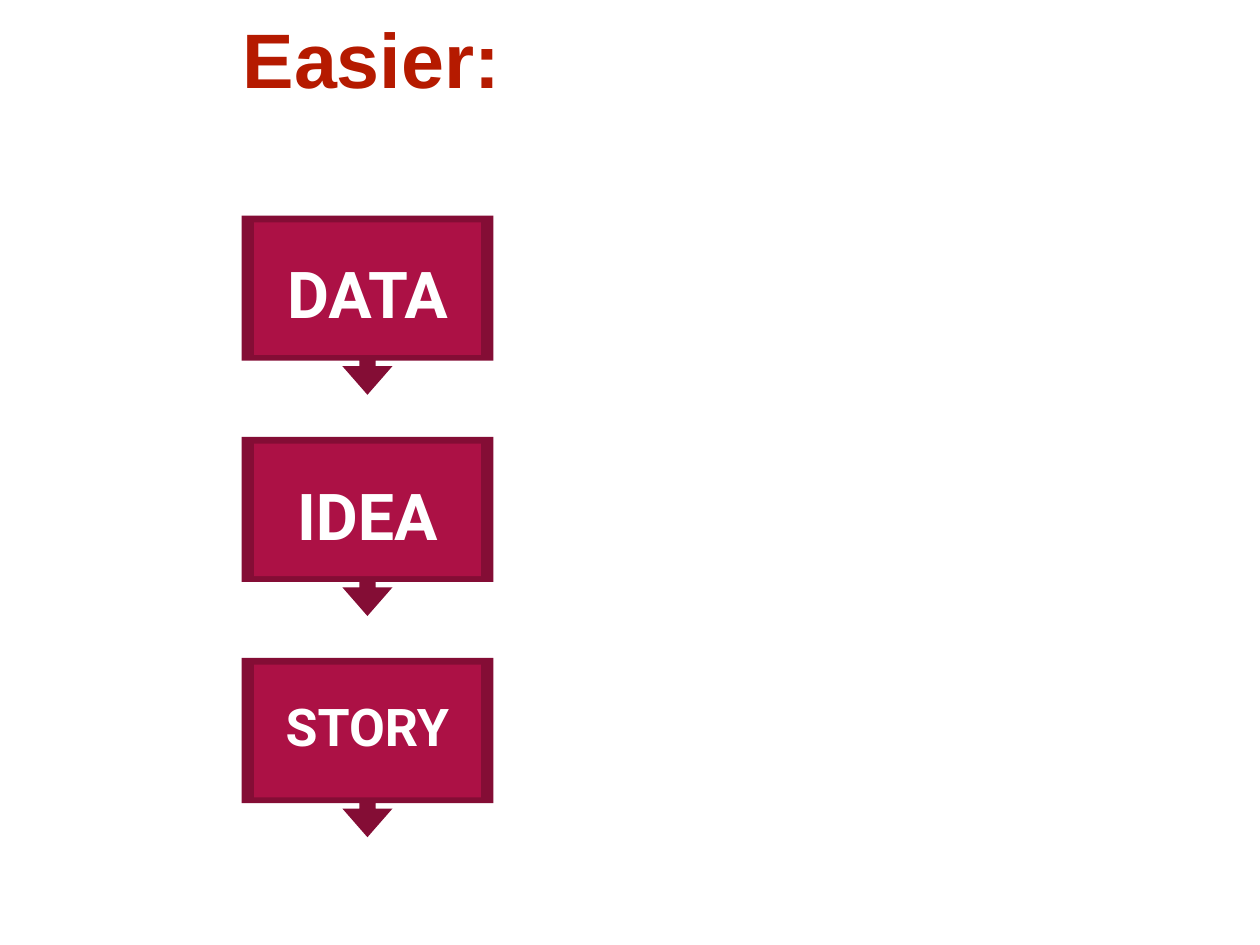
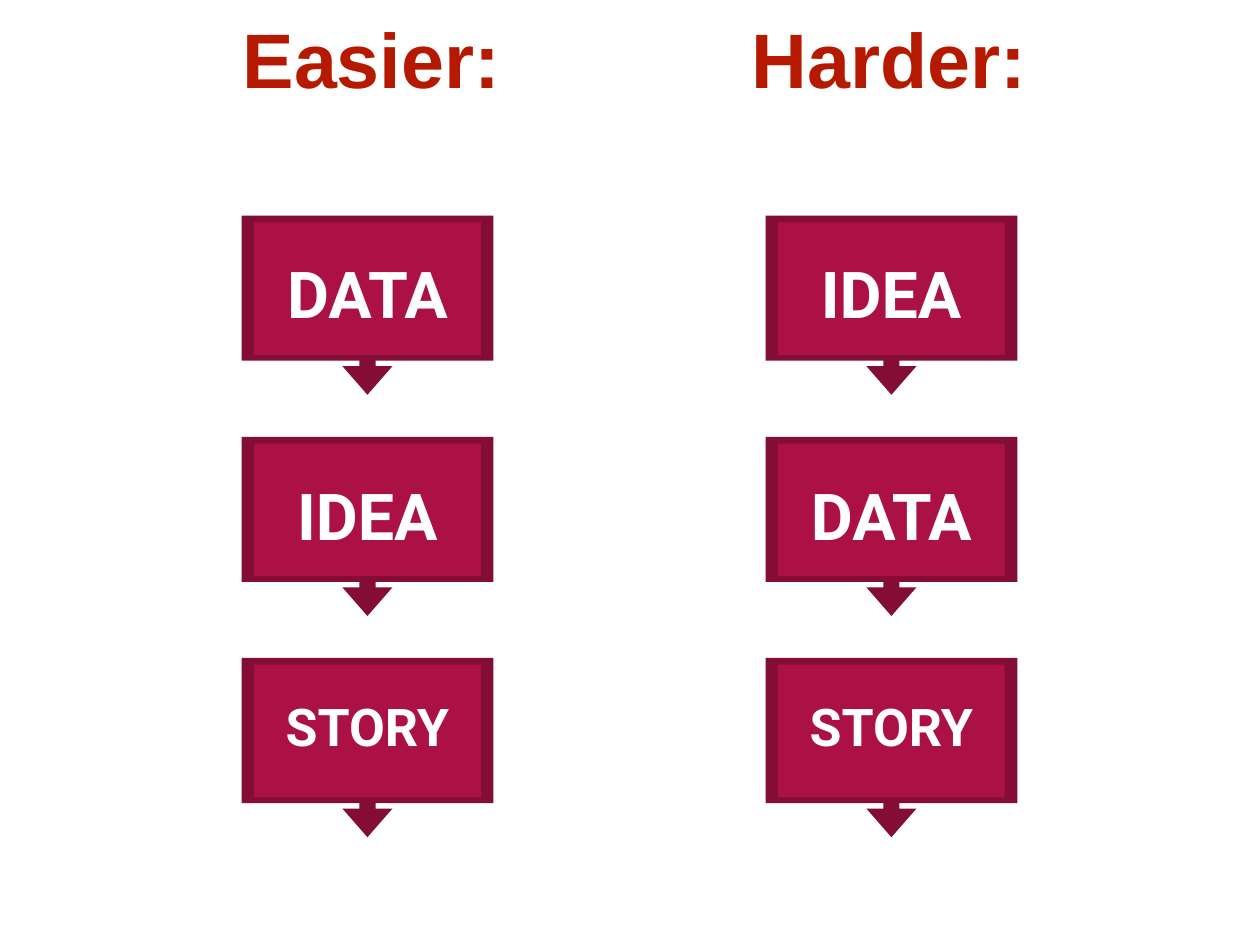
from dataclasses import dataclass

from pptx import Presentation
from pptx.dml.color import RGBColor
from pptx.enum.shapes import MSO_SHAPE
from pptx.enum.text import MSO_ANCHOR, PP_ALIGN
from pptx.util import Pt

PX = 9144  # EMU per px, 100 px to the inch

EASIER = {"title": "Easier:", "title_left": 214, "left": 213,
          "steps": ["DATA", "IDEA", "STORY"]}
HARDER = {"title": "Harder:", "title_left": 663, "left": 675,
          "steps": ["IDEA", "DATA", "STORY"]}
SLIDES = [[EASIER], [HARDER, EASIER]]

SLIDE_SIZE = (1111, 833)
TITLE_TOP, TITLE_WIDTH, TITLE_HEIGHT = 18, 247, 76
FIRST_STEP_TOP, STEP_PITCH = 190, 195
FRAME_WIDTH, FRAME_HEIGHT = 222, 158
FRAME_ADJUSTMENTS = (0.09, 0.14, 0.16, 0.81)
PANEL_WIDTH, PANEL_HEIGHT, PANEL_DROP = 200, 117, 6
PANEL_MARGINS = (25, 18, 25, 0)


@dataclass(frozen=True)
class Theme:
    title_color: RGBColor = RGBColor(0xB5, 0x1A, 0x00)
    frame_color: RGBColor = RGBColor(0x84, 0x0D, 0x35)
    panel_color: RGBColor = RGBColor(0xAC, 0x11, 0x45)
    label_color: RGBColor = RGBColor(0xFF, 0xFF, 0xFF)
    title_font: str = "Arial"
    label_font: str = "Roboto"
    title_size: int = 49
    label_size: int = 41
    long_label_size: int = 33


THEME = Theme()


def px(*lengths):
    return [length * PX for length in lengths]


def set_text(box, text, font, size, color, align, spacing, margins, anchor):
    frame = box.text_frame
    frame.word_wrap = True
    frame.vertical_anchor = anchor
    (frame.margin_left, frame.margin_top,
     frame.margin_right, frame.margin_bottom) = px(*margins)
    para = frame.paragraphs[0]
    para.alignment = align
    para.line_spacing = spacing
    span = para.add_run()
    span.text = text
    span.font.name = font
    span.font.size = Pt(size)
    span.font.bold = True
    span.font.color.rgb = color


def add_filled(shapes, preset, bounds, color):
    shape = shapes.add_shape(preset, *px(*bounds))
    shape.shadow.inherit = False
    shape.fill.solid()
    shape.fill.fore_color.rgb = color
    shape.line.fill.background()
    return shape


def add_step(page, label, left, top):
    """Add a framed panel whose frame ends in a downward arrow."""
    step = page.shapes.add_group_shape()
    frame = add_filled(step.shapes, MSO_SHAPE.DOWN_ARROW_CALLOUT,
                       (left, top, FRAME_WIDTH, FRAME_HEIGHT), THEME.frame_color)
    for index, value in enumerate(FRAME_ADJUSTMENTS):
        frame.adjustments[index] = value
    panel_left = left + (FRAME_WIDTH - PANEL_WIDTH) // 2
    panel = add_filled(step.shapes, MSO_SHAPE.RECTANGLE,
                       (panel_left, top + PANEL_DROP, PANEL_WIDTH, PANEL_HEIGHT),
                       THEME.panel_color)
    size = THEME.label_size if len(label) <= 4 else THEME.long_label_size
    set_text(panel, label, THEME.label_font, size, THEME.label_color,
             PP_ALIGN.CENTER, 1.15, PANEL_MARGINS, MSO_ANCHOR.TOP)


def add_column(page, column):
    for index, label in enumerate(column["steps"]):
        add_step(page, label, column["left"], FIRST_STEP_TOP + index * STEP_PITCH)
    title = page.shapes.add_textbox(
        *px(column["title_left"], TITLE_TOP, TITLE_WIDTH, TITLE_HEIGHT))
    set_text(title, column["title"], THEME.title_font, THEME.title_size,
             THEME.title_color, PP_ALIGN.LEFT, 0.95, (0, 0, 0, 0),
             MSO_ANCHOR.BOTTOM)


def main():
    deck = Presentation()
    deck.slide_width, deck.slide_height = px(*SLIDE_SIZE)
    for columns in SLIDES:
        page = deck.slides.add_slide(deck.slide_layouts[6])
        for column in columns:
            add_column(page, column)
    deck.save("out.pptx")


if __name__ == "__main__":
    main()
